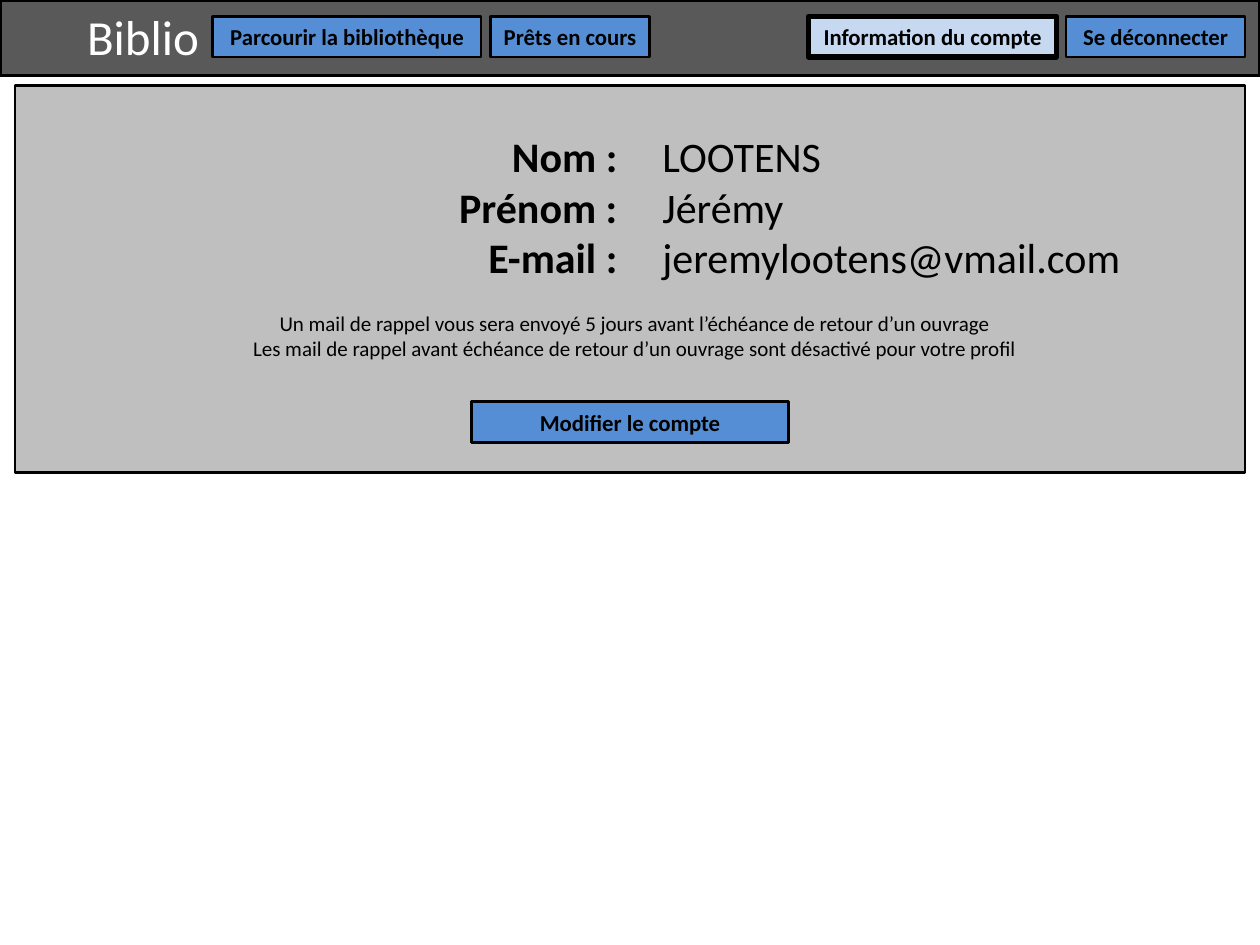
"""Build the account page of the library application mock-up."""
import dataclasses

import lxml.etree
import pptx
import pptx.dml.color
import pptx.enum.shapes
import pptx.enum.text
import pptx.oxml.ns
import pptx.util

Cm = pptx.util.Cm
Align = pptx.enum.text.PP_ALIGN
Anchor = pptx.enum.text.MSO_ANCHOR


@dataclasses.dataclass(frozen=True)
class Theme:
    font: str = "Calibri"
    text: str = "000000"
    bar_text: str = "FFFFFF"
    outline: str = "000000"
    bar: str = "595959"
    panel: str = "BFBFBF"
    button: str = "558ED5"
    active_button: str = "C6D9F1"
    title_size: int = 28
    field_size: int = 24
    button_size: int = 13
    note_size: int = 12
    thin: float = 1.5
    medium: float = 2
    thick: float = 3


THEME = Theme()

APP_NAME = "Biblio"
LEFT_MENU = [("Parcourir la bibliothèque", 5.41), ("Prêts en cours", 3.2)]
RIGHT_MENU = [("Information du compte", 5), ("Se déconnecter", 3.61)]
ACTIVE = "Information du compte"
ACCOUNT = [
    ("Nom :", "LOOTENS"),
    ("Prénom :", "Jérémy"),
    ("E-mail :", "jeremylootens@vmail.com"),
]
REMINDERS = [
    "Un mail de rappel vous sera envoyé 5 jours avant l’échéance de retour d’un ouvrage",
    "Les mail de rappel avant échéance de retour d’un ouvrage sont désactivé pour votre profil",
]
EDIT_LABEL = "Modifier le compte"

PAGE_WIDTH, PAGE_HEIGHT = 25.4, 19.05
MARGIN = 0.3
MENU_LEFT, MENU_TOP, MENU_GAP = 4.29, 0.33, 0.19
BUTTON_HEIGHT = 0.82
EDIT_WIDTH, EDIT_TOP = 6.4, 8.1
FIELD_TOP, FIELD_HEIGHT = 2.51, 3.33


def rgb(value):
    return pptx.dml.color.RGBColor.from_string(value)


def write(part, lines, size, align=Align.LEFT, anchor=Anchor.TOP, bold=False, color=THEME.text):
    frame = part.text_frame
    frame.text = "\n".join(lines)
    frame.word_wrap = True
    frame.auto_size = pptx.enum.text.MSO_AUTO_SIZE.NONE
    frame.vertical_anchor = anchor
    for paragraph in frame.paragraphs:
        paragraph.alignment = align
        paragraph.space_before = pptx.util.Pt(0)
        for run in paragraph.runs:
            run.font.name = THEME.font
            run.font.size = pptx.util.Pt(size)
            run.font.bold = bold
            run.font.color.rgb = rgb(color)


def place(part, left, top, width, height):
    part.left, part.top, part.width, part.height = map(Cm, (left, top, width, height))


def bring_to_front(slide, part):
    slide.shapes.element.append(part.element)


def remove_bullets(part):
    for paragraph in part.text_frame.paragraphs:
        properties = paragraph._p.get_or_add_pPr()
        properties.set("marL", "0")
        properties.set("indent", "0")
        lxml.etree.SubElement(properties, pptx.oxml.ns.qn("a:buNone"))


def add_box(slide, left, top, width, height, fill, weight):
    box = slide.shapes.add_shape(
        pptx.enum.shapes.MSO_SHAPE.RECTANGLE, *map(Cm, (left, top, width, height))
    )
    box.shadow.inherit = False
    box.fill.solid()
    box.fill.fore_color.rgb = rgb(fill)
    box.line.color.rgb = rgb(THEME.outline)
    box.line.width = pptx.util.Pt(weight)
    return box


def add_button(slide, label, left, top, width):
    fill, weight = THEME.button, THEME.thin
    if label == ACTIVE:
        fill, weight = THEME.active_button, THEME.thick
    button = add_box(slide, left, top, width, BUTTON_HEIGHT, fill, weight)
    write(button, [label], THEME.button_size, Align.CENTER, Anchor.MIDDLE, bold=True)


def add_menu(slide, entries, left):
    for label, width in entries:
        add_button(slide, label, left, MENU_TOP, width)
        left += width + MENU_GAP


def main():
    deck = pptx.Presentation()
    deck.slide_width, deck.slide_height = Cm(PAGE_WIDTH), Cm(PAGE_HEIGHT)
    slide = deck.slides.add_slide(deck.slide_layouts.get_by_name("Two Content"))
    app_name, labels, values = slide.placeholders

    add_box(slide, 0, 0, PAGE_WIDTH, 1.52, THEME.bar, THEME.medium)
    place(app_name, 1.5, 0, 2.79, 1.45)
    write(app_name, [APP_NAME], THEME.title_size, color=THEME.bar_text)
    bring_to_front(slide, app_name)

    add_menu(slide, LEFT_MENU, MENU_LEFT)
    right_width = sum(width for _, width in RIGHT_MENU) + MENU_GAP * (len(RIGHT_MENU) - 1)
    add_menu(slide, RIGHT_MENU, PAGE_WIDTH - MARGIN - right_width)

    add_box(slide, MARGIN, 1.73, PAGE_WIDTH - 2 * MARGIN, 7.8, THEME.panel, THEME.thin)
    label_lines, value_lines = zip(*ACCOUNT)
    place(labels, 0.89, FIELD_TOP, 11.81, FIELD_HEIGHT)
    write(labels, label_lines, THEME.field_size, Align.RIGHT, bold=True)
    place(values, 13.1, FIELD_TOP, 10.21, FIELD_HEIGHT)
    write(values, value_lines, THEME.field_size)
    for column in (labels, values):
        remove_bullets(column)
        bring_to_front(slide, column)

    reminders = slide.shapes.add_textbox(*map(Cm, (0.7, 6.13, 24.2, 1.27)))
    write(reminders, REMINDERS, THEME.note_size, Align.CENTER)
    add_button(slide, EDIT_LABEL, (PAGE_WIDTH - EDIT_WIDTH) / 2, EDIT_TOP, EDIT_WIDTH)

    deck.save("out.pptx")


if __name__ == "__main__":
    main()
